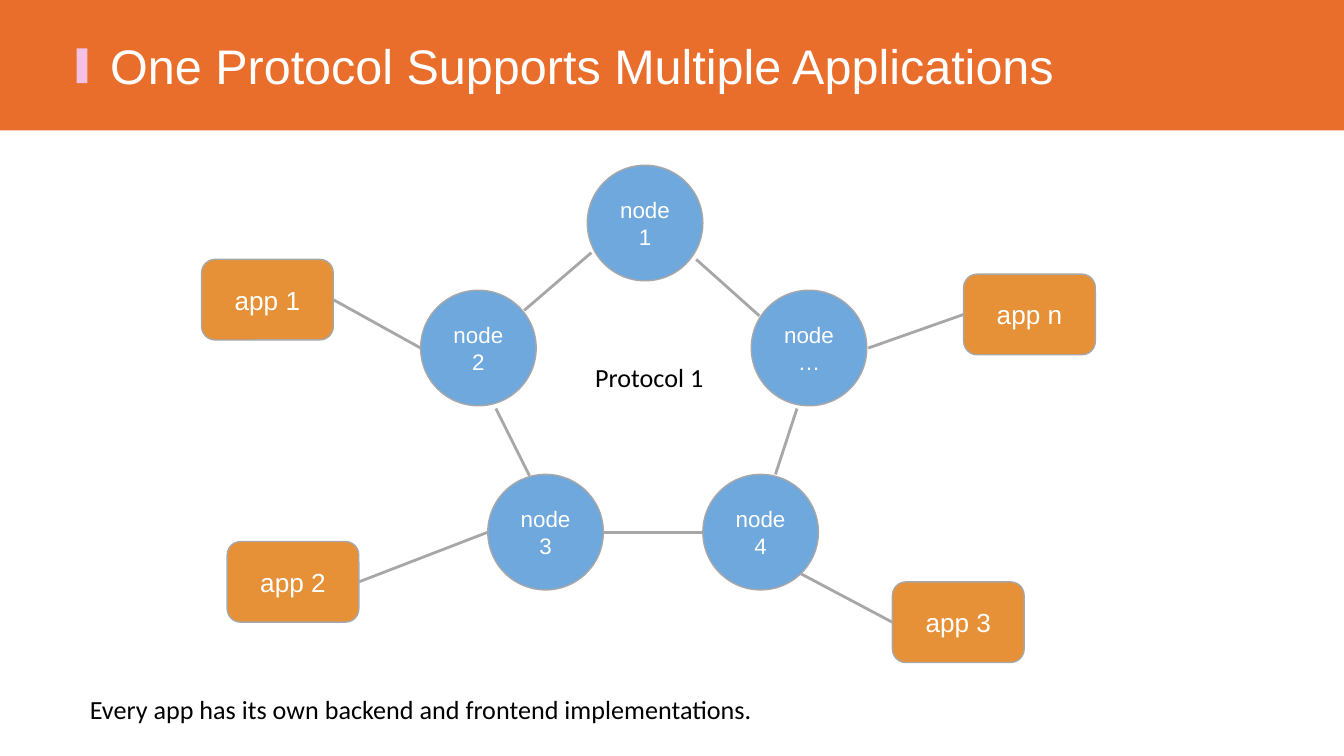
"""Build a slide showing one protocol's ring of nodes serving several apps."""
from typing import NamedTuple

from lxml import etree
from pptx import Presentation
from pptx.dml.color import RGBColor
from pptx.enum.shapes import MSO_CONNECTOR, MSO_SHAPE
from pptx.enum.text import MSO_ANCHOR, MSO_AUTO_SIZE, PP_ALIGN
from pptx.oxml.ns import qn
from pptx.util import Inches, Pt

STRAIGHT = MSO_CONNECTOR.STRAIGHT
RECT, OVAL, ROUNDED = MSO_SHAPE.RECTANGLE, MSO_SHAPE.OVAL, MSO_SHAPE.ROUNDED_RECTANGLE
MIDDLE, CENTER = MSO_ANCHOR.MIDDLE, PP_ALIGN.CENTER
FIT_SHAPE = MSO_AUTO_SIZE.SHAPE_TO_FIT_TEXT
LEFT_SIDE, RIGHT_SIDE = 1, 3

COLORS = {
    "header": "E96D2B",
    "accent": "F5C1E3",
    "node": "6FA8DC",
    "app": "E69138",
    "line": "A7A7A7",
    "light": "FFFFFF",
    "dark": "000000",
}
NODE_SIZE = 0.86
APP_W, APP_H = 0.98, 0.6


class Node(NamedTuple):
    text: str
    x: float
    y: float


class Link(NamedTuple):
    x1: float
    y1: float
    x2: float
    y2: float


class App(NamedTuple):
    text: str
    x: float
    y: float
    side: int
    node_x: float
    node_y: float


class Label(NamedTuple):
    text: str
    x: float
    y: float
    w: float
    h: float
    inset: float
    size: int
    font: str
    color: str


NODES = [
    Node("node1", 4.37, 1.23),
    Node("node2", 3.13, 2.16),
    Node("node3", 3.63, 3.53),
    Node("node4", 5.23, 3.53),
    Node("node…", 5.59, 2.16),
]
RING = [
    Link(4.4, 1.88, 3.9, 2.31),
    Link(3.69, 3.04, 3.94, 3.54),
    Link(4.49, 3.96, 5.23, 3.96),
    Link(5.77, 3.53, 5.93, 3.04),
    Link(5.65, 2.35, 5.18, 1.93),
]
APPS = [
    App("app 1", 1.5, 1.93, RIGHT_SIDE, 3.13, 2.59),
    App("app 2", 1.69, 4.03, RIGHT_SIDE, 3.63, 3.96),
    App("app 3", 6.64, 4.33, LEFT_SIDE, 5.96, 4.27),
    App("app n", 7.17, 2.04, LEFT_SIDE, 6.46, 2.59),
]
TITLE = Label("One Protocol Supports Multiple Applications",
              0.77, 0.22, 8.1, 0.54, 0.05, 26, "Arial", "light")
PROTOCOL = Label("Protocol 1", 4.33, 2.59, 1.06, 0.44, 0.1, 14, "Calibri", "dark")
NOTE = Label("Every app has its own backend and frontend implementations.",
             0.57, 5.06, 6.47, 0.44, 0.1, 14, "Calibri", "dark")


def rgb(name: str) -> RGBColor:
    return RGBColor.from_string(COLORS[name])


def write(sp, text: str, inset: float, size: int, font: str, color: str):
    tf = sp.text_frame
    tf.word_wrap = True
    tf.margin_left = tf.margin_right = Inches(inset)
    tf.margin_top = tf.margin_bottom = Inches(inset)
    p = tf.paragraphs[0]
    p.text = text
    p.font.size = Pt(size)
    p.font.name = font
    p.font.color.rgb = rgb(color)
    return tf


def add_block(s, kind, x: float, y: float, w: float, h: float, fill: str):
    sp = s.shapes.add_shape(kind, Inches(x), Inches(y), Inches(w), Inches(h))
    sp.shadow.inherit = False
    sp.fill.solid()
    sp.fill.fore_color.rgb = rgb(fill)
    sp.line.fill.background()
    return sp


def add_box(s, kind, x: float, y: float, w: float, h: float, fill: str, text: str, size: int):
    sp = add_block(s, kind, x, y, w, h, fill)
    sp.line.color.rgb = rgb("line")
    sp.line.width = Pt(0.75)
    tf = write(sp, text, 0.1, size, "Arial", "light")
    tf.vertical_anchor = MIDDLE
    tf.paragraphs[0].alignment = CENTER
    return sp


def add_link(s, link: Link):
    cxn = s.shapes.add_connector(STRAIGHT, *(Inches(v) for v in link))
    cxn.line.color.rgb = rgb("line")
    cxn.line.width = Pt(1.5)
    etree.SubElement(cxn._element.spPr, qn("a:effectLst"))
    return cxn


def add_app_link(s, app: App, sp) -> None:
    edge = app.x + (APP_W if app.side == RIGHT_SIDE else 0)
    cxn = add_link(s, Link(edge, app.y + APP_H / 2, app.node_x, app.node_y))
    cxn.begin_connect(sp, app.side)


def add_label(s, label: Label) -> None:
    box = (Inches(v) for v in (label.x, label.y, label.w, label.h))
    sp = s.shapes.add_textbox(*box)
    tf = write(sp, label.text, label.inset, label.size, label.font, label.color)
    tf.auto_size = FIT_SHAPE


def main() -> None:
    prs = Presentation()
    prs.slide_width = Inches(10)
    prs.slide_height = Inches(10) * 9 // 16
    s = prs.slides.add_slide(prs.slide_layouts[6])
    add_block(s, RECT, 0, 0, 10, 0.97, "header")
    add_block(s, RECT, 0.57, 0.36, 0.08, 0.26, "accent")
    add_label(s, TITLE)
    for node in NODES:
        add_box(s, OVAL, node.x, node.y, NODE_SIZE, NODE_SIZE, "node", node.text, 12)
    for link in RING:
        add_link(s, link)
    add_label(s, PROTOCOL)
    boxes = [add_box(s, ROUNDED, app.x, app.y, APP_W, APP_H, "app", app.text, 14)
             for app in APPS]
    for app, sp in zip(APPS, boxes):
        add_app_link(s, app, sp)
    add_label(s, NOTE)
    prs.save("out.pptx")


if __name__ == "__main__":
    main()
